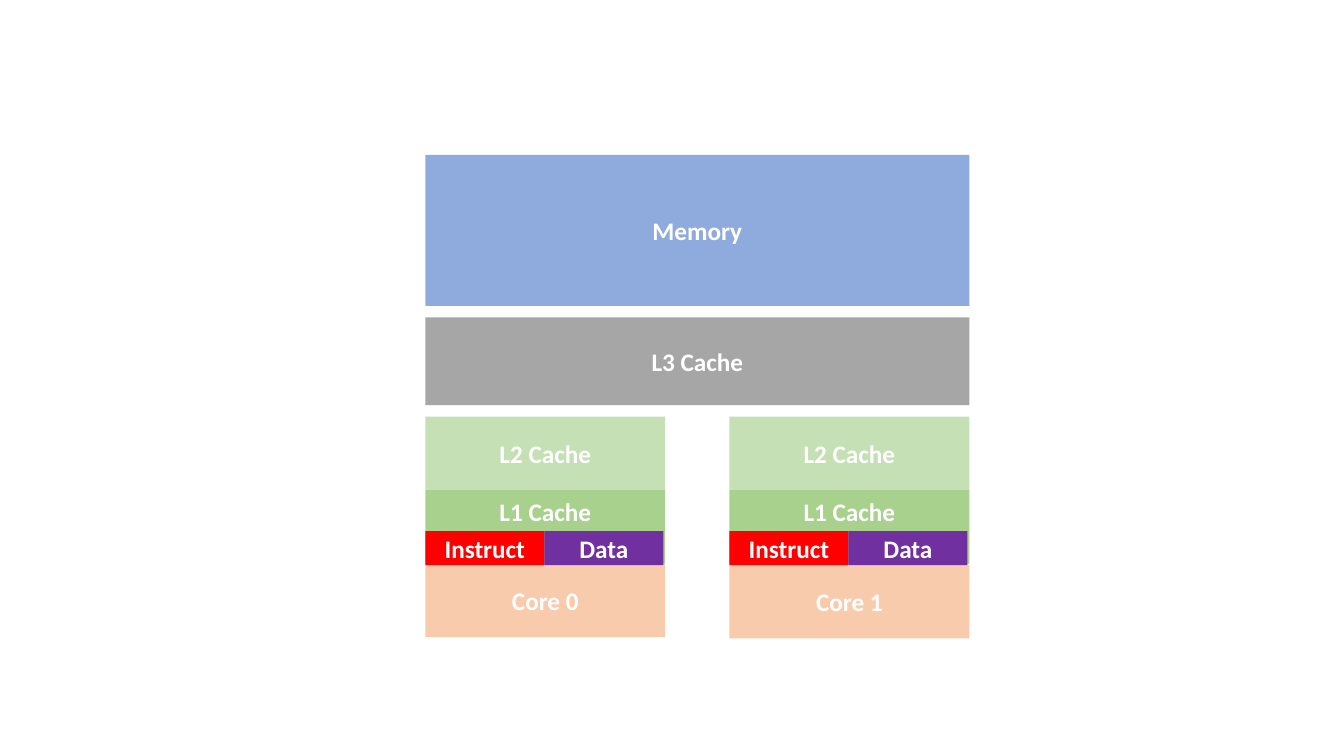
"""Draw the memory hierarchy of a two-core processor."""
from dataclasses import dataclass

import pptx
import pptx.dml.color
import pptx.enum.shapes
import pptx.enum.text
import pptx.util


@dataclass(frozen=True)
class Theme:
    font: str = "Calibri"
    size: float = 18
    text: str = "FFFFFF"
    memory: str = "8FAADC"
    l3: str = "A6A6A6"
    l2: str = "C5E0B4"
    l1: str = "A9D18E"
    core: str = "F8CBAD"
    instruct: str = "FF0000"
    data: str = "7030A0"


@dataclass(frozen=True)
class Block:
    label: str
    color: str
    left: float
    top: float
    width: float
    height: float
    bottom_inset: float = 3.6


THEME = Theme()
STACK_LEFT = 303.8
STACK_WIDTH = 388.6
CORE_WIDTH = 171.4
CORE_STEP = STACK_WIDTH - CORE_WIDTH
LEVEL_HEIGHT = 52.6
L2_TOP = 297.6
L1_TOP = L2_TOP + LEVEL_HEIGHT
SPLIT_TOP = 379.3
SPLIT_WIDTH = 85
SPLIT_HEIGHT = 24.4
CORE_TOPS = (402.5, 403.5)


def core_blocks(number: int, core_top: float) -> list[Block]:
    left = STACK_LEFT + number * CORE_STEP
    levels = [
        Block("L2 Cache", THEME.l2, left, L2_TOP, CORE_WIDTH, LEVEL_HEIGHT),
        Block("L1 Cache", THEME.l1, left, L1_TOP, CORE_WIDTH, LEVEL_HEIGHT, 25.6),
        Block(f"Core {number}", THEME.core, left, core_top, CORE_WIDTH, LEVEL_HEIGHT),
    ]
    halves = [("Instruct", THEME.instruct), ("Data", THEME.data)]
    return levels + [
        Block(label, color, left + index * SPLIT_WIDTH, SPLIT_TOP, SPLIT_WIDTH, SPLIT_HEIGHT)
        for index, (label, color) in enumerate(halves)
    ]


def draw_block(slide: pptx.slide.Slide, block: Block) -> None:
    shape = slide.shapes.add_shape(
        pptx.enum.shapes.MSO_SHAPE.RECTANGLE,
        pptx.util.Pt(block.left),
        pptx.util.Pt(block.top),
        pptx.util.Pt(block.width),
        pptx.util.Pt(block.height),
    )
    shape.shadow.inherit = False
    shape.fill.solid()
    shape.fill.fore_color.rgb = pptx.dml.color.RGBColor.from_string(block.color)
    shape.line.fill.background()
    frame = shape.text_frame
    frame.word_wrap = True
    frame.vertical_anchor = pptx.enum.text.MSO_ANCHOR.MIDDLE
    frame.margin_bottom = pptx.util.Pt(block.bottom_inset)
    paragraph = frame.paragraphs[0]
    paragraph.text = block.label
    paragraph.alignment = pptx.enum.text.PP_ALIGN.CENTER
    paragraph.font.name = THEME.font
    paragraph.font.size = pptx.util.Pt(THEME.size)
    paragraph.font.bold = True
    paragraph.font.color.rgb = pptx.dml.color.RGBColor.from_string(THEME.text)


def main() -> None:
    presentation = pptx.Presentation()
    presentation.slide_width = pptx.util.Pt(960)
    presentation.slide_height = pptx.util.Pt(540)
    slide = presentation.slides.add_slide(presentation.slide_layouts[6])
    blocks = [
        Block("Memory", THEME.memory, STACK_LEFT, 110.7, STACK_WIDTH, 107.8),
        Block("L3 Cache", THEME.l3, STACK_LEFT, 226.8, STACK_WIDTH, 62.6),
    ]
    for number, core_top in enumerate(CORE_TOPS):
        blocks += core_blocks(number, core_top)
    for block in blocks:
        draw_block(slide, block)
    presentation.save("out.pptx")


if __name__ == "__main__":
    main()
